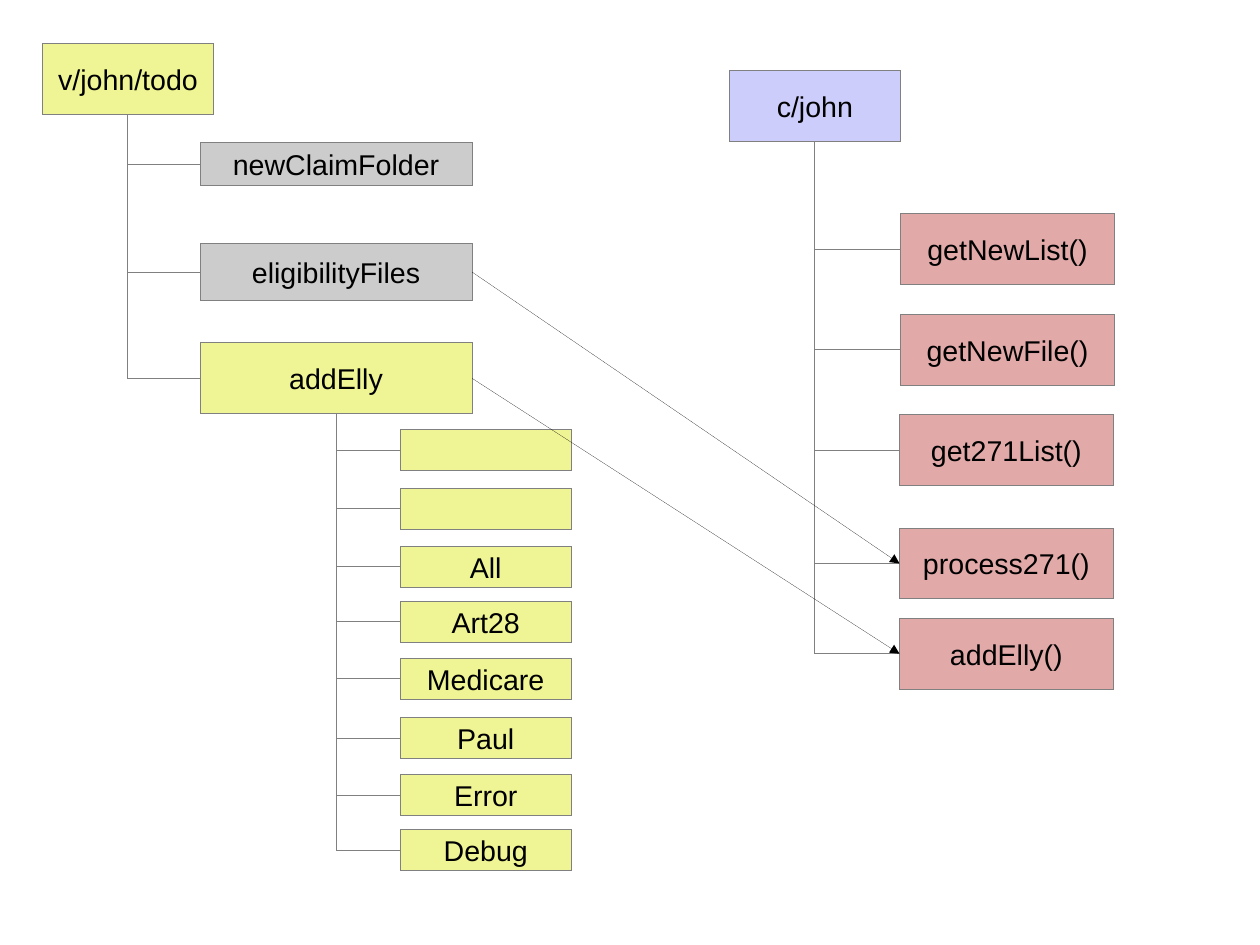
from dataclasses import dataclass

from lxml import etree
from pptx import Presentation
from pptx.dml.color import RGBColor
from pptx.enum.shapes import MSO_CONNECTOR as Link, MSO_SHAPE as Preset
from pptx.enum.text import MSO_ANCHOR as Anchor, PP_ALIGN as Align
from pptx.oxml.ns import qn
from pptx.util import Inches, Pt


@dataclass(frozen=True)
class Theme:
    todo: str = "EFF494"
    folder: str = "CCCCCC"
    controller: str = "CDCDFB"
    method: str = "E2A9A9"
    outline: str = "808080"
    ink: str = "000000"
    font: str = "Arial"
    size: int = 18


THEME = Theme()
CM_PER_INCH = 2.54
BOTTOM, LEFT, RIGHT = 2, 1, 3  # connection sites of a rectangle

FOLDERS = [
    ("newClaimFolder", 1.25, 0.37, THEME.folder),
    ("eligibilityFiles", 2.13, 0.5, THEME.folder),
    ("addElly", 3, 0.62, THEME.todo),
]
QUEUES = [
    ("", 3.76), ("", 4.27), ("All", 4.78), ("Art28", 5.26),
    ("Medicare", 5.76), ("Paul", 6.28), ("Error", 6.78), ("Debug", 7.26),
]
METHODS = [
    ("getNewList()", 7.88, 1.87), ("getNewFile()", 7.88, 2.75),
    ("get271List()", 7.87, 3.63), ("process271()", 7.87, 4.62),
    ("addElly()", 7.87, 5.41),
]


def set_hairline(shape, color):
    """Colour the line and write its zero width, which line.width omits."""
    shape.line.color.rgb = RGBColor.from_string(color)
    shape._element.spPr.find(qn("a:ln")).set("w", "0")


def add_box(slide, label, left, top, width, height, fill):
    box = slide.shapes.add_shape(
        Preset.RECTANGLE, *map(Inches, (left, top, width, height)))
    box.shadow.inherit = False
    box.fill.solid()
    box.fill.fore_color.rgb = RGBColor.from_string(fill)
    set_hairline(box, THEME.outline)
    if label:
        box.text_frame.vertical_anchor = Anchor.MIDDLE
        paragraph = box.text_frame.paragraphs[0]
        paragraph.alignment = Align.CENTER
        run = paragraph.add_run()
        run.text = label
        run.font.color.rgb = RGBColor.from_string(THEME.ink)
        for name, value in {"name": THEME.font, "size": Pt(THEME.size)}.items():
            setattr(run.font, name, value)
    return box


def site_point(box, site):
    middle = box.top + box.height // 2
    return {
        BOTTOM: (box.left + box.width // 2, box.top + box.height),
        LEFT: (box.left, middle),
        RIGHT: (box.left + box.width, middle),
    }[site]


def add_link(slide, kind, source, site, target, color):
    """Glue a connector from a site of source to the left side of target."""
    link = slide.shapes.add_connector(
        kind, *site_point(source, site), *site_point(target, LEFT))
    link.begin_connect(source, site)
    link.end_connect(target, LEFT)
    set_hairline(link, color)
    etree.SubElement(link._element.spPr, qn("a:effectLst"))
    return link


def add_branch(slide, parent, child):
    """Run down from the parent, then right to the child, in one bend."""
    link = add_link(slide, Link.ELBOW, parent, BOTTOM, child, THEME.outline)
    across, down = link.width, link.height
    turned = {
        "left": link.left + (across - down) // 2,
        "top": link.top + (down - across) // 2,
        "width": down,
        "height": across,
    }
    for name, value in turned.items():
        setattr(link, name, value)
    properties = link._element.spPr
    properties.find(qn("a:prstGeom")).set("prst", "bentConnector2")
    frame = properties.find(qn("a:xfrm"))
    frame.set("rot", "16200000")
    frame.set("flipH", "1")


def add_call(slide, folder, method):
    link = add_link(slide, Link.STRAIGHT, folder, RIGHT, method, THEME.ink)
    outline = link._element.spPr.find(qn("a:ln"))
    etree.SubElement(outline, qn("a:tailEnd"), type="triangle")


def add_tree(slide, root, children):
    for child in children:
        add_branch(slide, root, child)


def main():
    deck = Presentation()
    deck.slide_width = Inches(28 / CM_PER_INCH)
    deck.slide_height = Inches(21 / CM_PER_INCH)
    deck.element.sldSz.attrib.pop("type", None)
    slide = deck.slides.add_slide(deck.slide_layouts[6])

    todo = add_box(slide, "v/john/todo", 0.37, 0.38, 1.5, 0.62, THEME.todo)
    controller = add_box(slide, "c/john", 6.38, 0.62, 1.5, 0.62, THEME.controller)
    folders = [add_box(slide, label, 1.75, top, 2.38, height, fill)
               for label, top, height, fill in FOLDERS]
    queues = [add_box(slide, label, 3.5, top, 1.5, 0.36, THEME.todo)
              for label, top in QUEUES]
    methods = [add_box(slide, label, left, top, 1.87, 0.62, THEME.method)
               for label, left, top in METHODS]

    eligibility, add_elly = folders[1:]
    process_271, add_elly_method = methods[3:]
    add_tree(slide, todo, folders)
    add_tree(slide, add_elly, queues)
    add_tree(slide, controller, methods)
    add_call(slide, eligibility, process_271)
    add_call(slide, add_elly, add_elly_method)

    deck.save("out.pptx")


if __name__ == "__main__":
    main()
